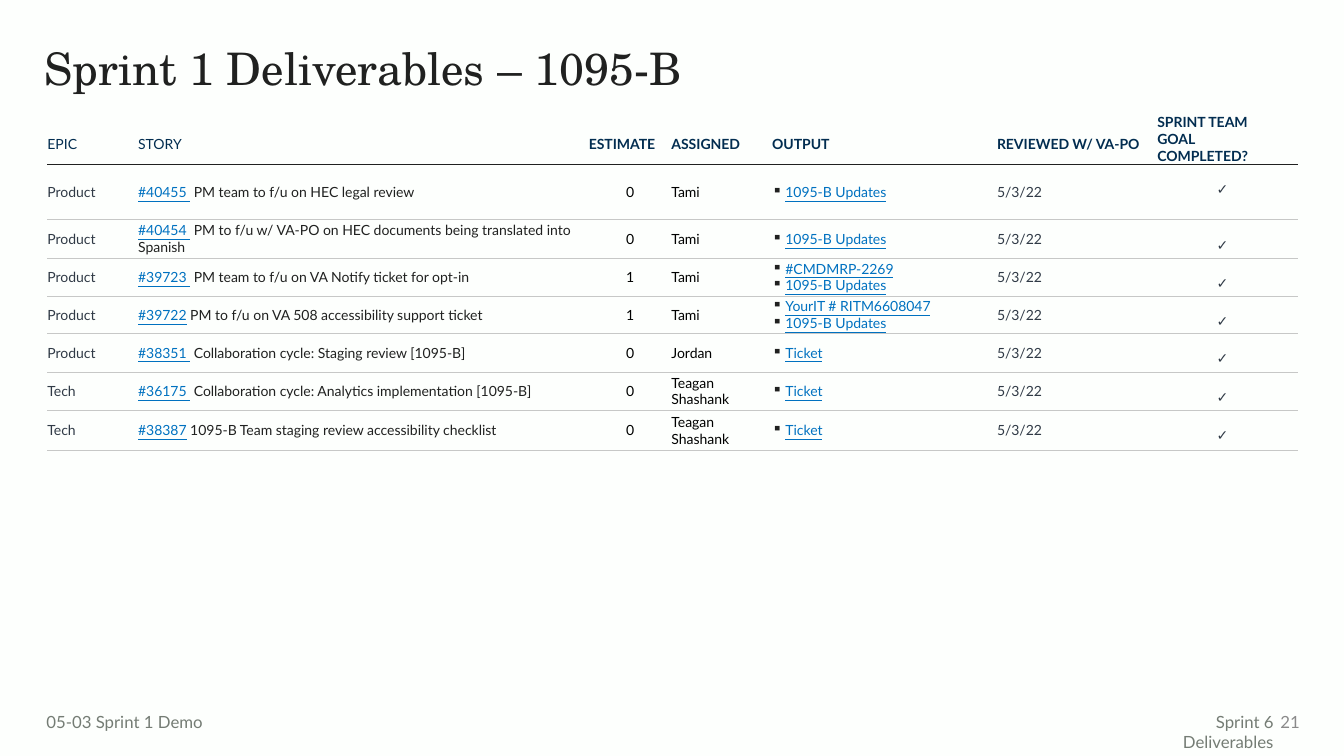
from dataclasses import dataclass
from lxml.etree import SubElement
from pptx import Presentation
from pptx.dml.color import RGBColor
from pptx.enum.text import MSO_ANCHOR, MSO_AUTO_SIZE, PP_ALIGN
from pptx.oxml.ns import qn
from pptx.util import Inches, Pt


@dataclass(frozen=True)
class Theme:
    paper: str = "FDFFFD"
    ink: str = "202120"
    black: str = "000000"
    navy: str = "022D50"
    slate: str = "303A46"
    link: str = "0071C0"
    rule: str = "C7C8C7"
    footer: str = "747C74"
    number: str = "8A8A8A"
    serif: str = "TeX Gyre Schola"
    sans: str = "Lato"
    title_size: int = 32
    body_size: int = 10
    footer_size: int = 12
    heavy: float = 1
    thin: float = 0.5


class Deck:
    """Draws styled elements on one slide, with lengths as percentages of its size."""

    def __init__(self, theme):
        self.theme = theme
        self.prs = Presentation()
        self.prs.slide_width, self.prs.slide_height = Inches(13.33), Inches(7.5)
        self.s = self.prs.slides.add_slide(self.prs.slide_layouts[6])
        fill = self.s.background.fill
        fill.solid()
        fill.fore_color.rgb = RGBColor.from_string(theme.paper)

    def x(self, share):
        return round(self.prs.slide_width * share / 100)

    def y(self, share):
        return round(self.prs.slide_height * share / 100)

    def box(self, left, top, width, height):
        return self.x(left), self.y(top), self.x(width), self.y(height)

    def run(self, p, text, color, size=None, font=None, bold=False, underline=False):
        r = p.add_run()
        r.text = text
        r.font.name = font or self.theme.sans
        r.font.size = Pt(size or self.theme.body_size)
        r.font.bold, r.font.underline = bold, underline
        r.font.color.rgb = RGBColor.from_string(color)

    def text(self, at, text, color, size, font=None, align=PP_ALIGN.LEFT,
             anchor=MSO_ANCHOR.TOP, inset=0.75, spacing=1.0, grow=False):
        tf = self.s.shapes.add_textbox(*self.box(*at)).text_frame
        tf.word_wrap = True
        tf.auto_size = MSO_AUTO_SIZE.SHAPE_TO_FIT_TEXT if grow else MSO_AUTO_SIZE.NONE
        tf.vertical_anchor = anchor
        tf.margin_left = self.x(inset)
        p = tf.paragraphs[0]
        p.alignment, p.line_spacing = align, spacing
        self.run(p, text, color, size, font)

    def bullet(self, p):
        pPr = p._p.get_or_add_pPr()
        pPr.set("marL", str(self.x(0.98)))
        pPr.set("indent", str(-self.x(0.98)))
        SubElement(SubElement(pPr, qn("a:buClr")), qn("a:srgbClr"), val=self.theme.ink)
        SubElement(pPr, qn("a:buChar"), char="▪")

    def borders(self, cell, top, bottom):
        tcPr = cell._tc.get_or_add_tcPr()
        for side, line in (("L", None), ("R", None), ("T", top), ("B", bottom)):
            ln = SubElement(tcPr, qn("a:ln" + side))
            if line is None:
                SubElement(ln, qn("a:noFill"))
                continue
            color, width = line
            ln.set("w", str(Pt(width)))
            SubElement(SubElement(ln, qn("a:solidFill")), qn("a:srgbClr"), val=color)

    def cell(self, cell, paragraphs, insets=(0, 0, 0, 0), align=PP_ALIGN.LEFT,
             anchor=MSO_ANCHOR.MIDDLE, bulleted=False, top=None, bottom=None):
        self.borders(cell, top, bottom)
        cell.fill.background()
        left, above, right, below = insets
        cell.margin_left, cell.margin_right = self.x(left), self.x(right)
        cell.margin_top, cell.margin_bottom = self.y(above), self.y(below)
        cell.vertical_anchor = anchor
        tf = cell.text_frame
        for i, runs in enumerate(paragraphs):
            p = tf.add_paragraph() if i else tf.paragraphs[0]
            p.alignment = align
            if bulleted:
                self.bullet(p)
            for text, color, style in runs:
                self.run(p, text, color, **style)

    def table(self, at, widths, heights):
        tbl = self.s.shapes.add_table(len(heights), len(widths), *self.box(*at)).table
        tbl.first_row = tbl.horz_banding = False
        for column, width in zip(tbl.columns, widths):
            column.width = self.x(width)
        for row, height in zip(tbl.rows, heights):
            row.height = self.y(height)
        return tbl


HEADERS = ("EPIC", "STORY", "ESTIMATE", "ASSIGNED", "OUTPUT",
           "REVIEWED W/ VA-PO", "SPRINT TEAM GOAL COMPLETED?")
WIDTHS = (6.75, 33.53, 6.15, 7.5, 16.73, 11.18, 11.18)
HEIGHTS = (5.33, 7.33, 5.07, 5.07, 4.93, 5.07, 5.07, 5.33)
UPDATES = "1095-B Updates"
STORIES = (
    ("Product", "#40455 ", "PM team to f/u on HEC legal review", "0", "Tami", (UPDATES,)),
    ("Product", "#40454 ", "PM to f/u w/ VA-PO on HEC documents being translated into Spanish",
     "0", "Tami", (UPDATES,)),
    ("Product", "#39723 ", "PM team to f/u on VA Notify ticket for opt-in",
     "1", "Tami", ("#CMDMRP-2269", UPDATES)),
    ("Product", "#39722", "PM to f/u on VA 508 accessibility support ticket",
     "1", "Tami", ("YourIT # RITM6608047", UPDATES)),
    ("Product", "#38351 ", "Collaboration cycle: Staging review [1095-B]",
     "0", "Jordan", ("Ticket",)),
    ("Tech", "#36175 ", "Collaboration cycle: Analytics implementation [1095-B]",
     "0", "Teagan Shashank", ("Ticket",)),
    ("Tech", "#38387", "1095-B Team staging review accessibility checklist",
     "0", "Teagan Shashank", ("Ticket",)),
)


def deliverables(deck):
    t = deck.theme
    heavy, thin = (t.ink, t.heavy), (t.rule, t.thin)
    link = {"underline": True}
    center = {"align": PP_ALIGN.CENTER}
    narrow = {"insets": (0, 0, 3, 0)}
    check = {"insets": (0, 2.2, 0, 0), "anchor": MSO_ANCHOR.TOP, **center}
    tbl = deck.table((3.53, 15.07, 92.95, 43.33), WIDTHS, HEIGHTS)

    for col, header in enumerate(HEADERS):
        layout = {"insets": (0, 1.33, 0 if col in (4, 5) else 0.75, 0)}
        if col == len(HEADERS) - 1:
            layout = {"insets": (0.75, 0, 0.75, 0), "anchor": MSO_ANCHOR.TOP}
        deck.cell(tbl.cell(0, col), [[(header, t.navy, {"bold": col > 1})]],
                  bottom=heavy, **layout)

    for row, (epic, ticket, story, estimate, assigned, outputs) in enumerate(STORIES, 1):
        cells = (
            ([[(epic, t.slate, {})]], narrow),
            ([[(ticket, t.link, link), (" " + story, t.ink, {})]], {}),
            ([[(estimate, t.black, {})]], center),
            ([[(assigned, t.black, {})]], narrow),
            ([[(output, t.link, link)] for output in outputs], {"bulleted": True}),
            ([[("5/3/22", t.slate, {})]], {}),
            ([[("✓", t.slate, {})]], check),
        )
        for col, (paragraphs, layout) in enumerate(cells):
            deck.cell(tbl.cell(row, col), paragraphs,
                      top=heavy if row == 1 else thin, bottom=thin, **layout)


def main():
    t = Theme()
    deck = Deck(t)
    deck.text((2.55, 5.47, 93.17, 10.93), "Sprint 1 Deliverables – 1095-B",
              t.ink, t.title_size, t.serif, spacing=0.9)
    deck.text((94.15, 92.8, 3.3, 5.33), "21", t.number, t.footer_size,
              align=PP_ALIGN.RIGHT, anchor=MSO_ANCHOR.MIDDLE)
    deliverables(deck)
    deck.text((83.2, 93.47, 12.3, 4), "Sprint 6 Deliverables", t.footer, t.footer_size,
              align=PP_ALIGN.RIGHT, grow=True)
    deck.text((3.45, 93.47, 22.36, 4), "05-03 Sprint 1 Demo", t.footer, t.footer_size,
              inset=0, grow=True)
    deck.prs.save("out.pptx")


if __name__ == "__main__":
    main()
